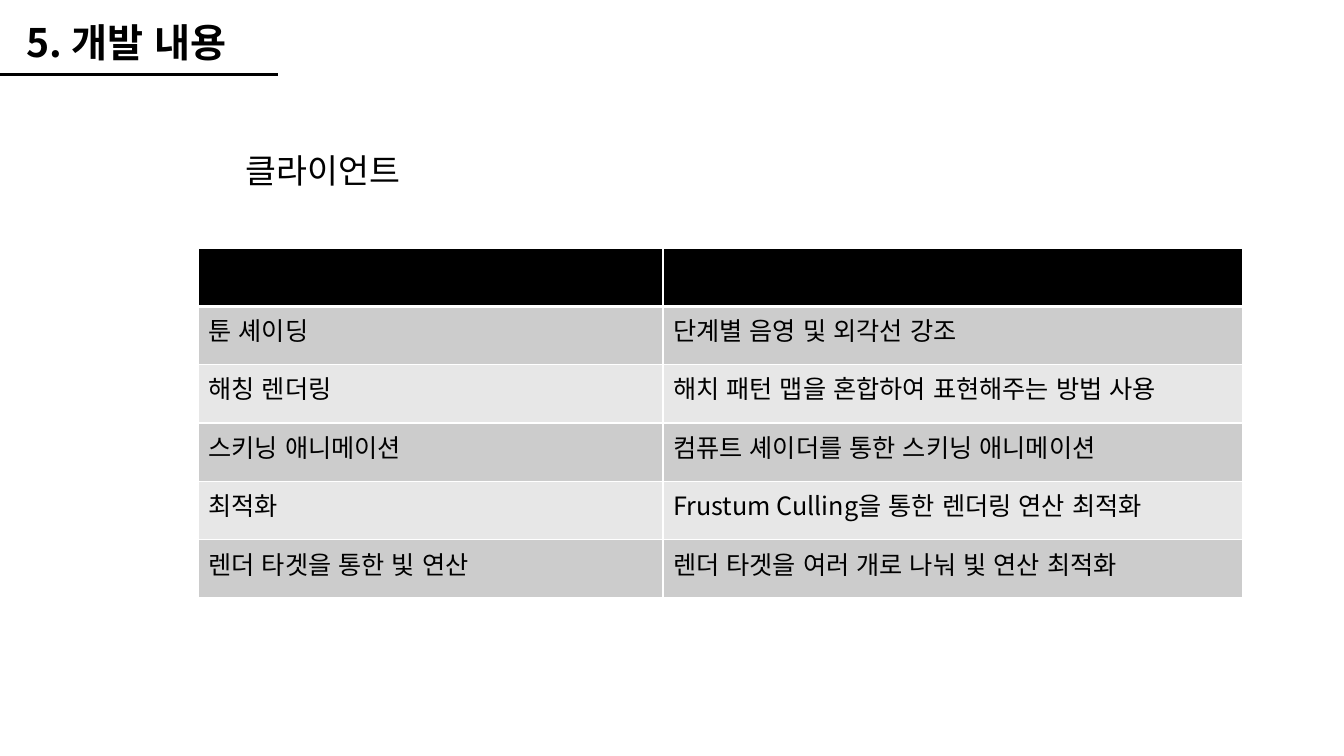
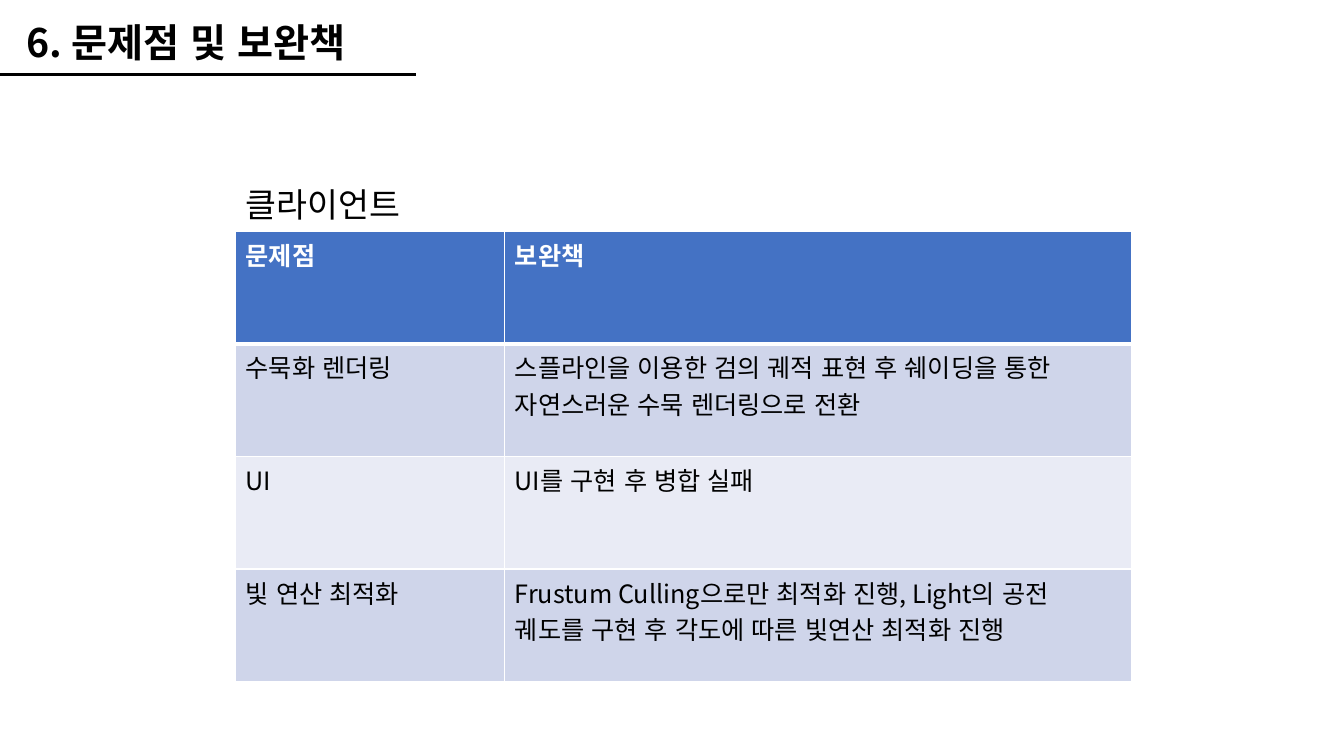
"""Build two project report slides, each with a titled table."""
from lxml import etree
from pptx import Presentation
from pptx.dml.color import RGBColor
from pptx.enum.shapes import MSO_CONNECTOR
from pptx.oxml import parse_xml
from pptx.oxml.ns import qn
from pptx.util import Cm, Pt

STRAIGHT = MSO_CONNECTOR.STRAIGHT
FONT = "Noto Sans CJK KR"
DRAWING = "http://schemas.openxmlformats.org/drawingml/2006/main"
COLORS = {
    "ink": "000000", "paper": "FFFFFF",
    "gray": "CCCCCC", "light_gray": "E7E7E7",
    "blue": "4472C4", "pale_blue": "CFD5EA", "light_blue": "E9EBF5",
}
PAGES = [
    {
        "title": "5. 개발 내용", "title_width": 6.63, "rule_end": 7.01,
        "label_top": 3.66,
        "left": 5, "top": 6.25, "columns": [11.71, 14.61], "row_height": 1.47,
        "fills": ["ink", "gray", "light_gray"],
        "rows": [
            ["", ""],
            ["툰 셰이딩", "단계별 음영 및 외각선 강조"],
            ["해칭 렌더링", "해치 패턴 맵을 혼합하여 표현해주는 방법 사용"],
            ["스키닝 애니메이션", "컴퓨트 셰이더를 통한 스키닝 애니메이션"],
            ["최적화", "Frustum Culling을 통한 렌더링 연산 최적화"],
            ["렌더 타겟을 통한 빛 연산", "렌더 타겟을 여러 개로 나눠 빛 연산 최적화"],
        ],
    },
    {
        "title": "6. 문제점 및 보완책", "title_width": 9.86, "rule_end": 10.49,
        "label_top": 4.52,
        "left": 5.94, "top": 5.82, "columns": [6.78, 15.8], "row_height": 2.84,
        "fills": ["blue", "pale_blue", "light_blue"],
        "rows": [
            ["문제점", "보완책"],
            ["수묵화 렌더링",
             "스플라인을 이용한 검의 궤적 표현 후 쉐이딩을 통한 자연스러운 수묵 렌더링으로 전환"],
            ["UI", "UI를 구현 후 병합 실패"],
            ["빛 연산 최적화",
             "Frustum Culling으로만 최적화 진행, Light의 공전 궤도를 구현 후 "
             "각도에 따른 빛연산 최적화 진행"],
        ],
    },
]


def write(frame, text, size=18, color="ink", bold=False):
    frame.word_wrap = True
    span = frame.paragraphs[0].add_run()
    span.text = text
    span.font.size = Pt(size)
    span.font.bold = bold
    span.font.name = FONT
    span.font.color.rgb = RGBColor.from_string(COLORS[color])
    properties = span.font._element
    properties.set("lang", "ko-KR")
    etree.SubElement(properties, qn("a:ea")).set("typeface", FONT)


def add_borders(cell, bottom):
    properties = cell._tc.get_or_add_tcPr()
    widths = {"lnL": 1, "lnR": 1, "lnT": 1, "lnB": bottom}
    for position, (side, width) in enumerate(widths.items()):
        properties.insert(position, parse_xml(
            f'<a:{side} xmlns:a="{DRAWING}" w="{Pt(width)}"><a:solidFill>'
            f'<a:srgbClr val="{COLORS["paper"]}"/></a:solidFill></a:{side}>'))


deck = Presentation()
deck.slide_width, deck.slide_height = Cm(33.87), Cm(19.05)

for content in PAGES:
    page = deck.slides.add_slide(deck.slide_layouts[6])

    rule = page.shapes.add_connector(
        STRAIGHT, 0, Cm(1.88), Cm(content["rule_end"]), Cm(1.88))
    rule.line.width = Pt(2.5)
    rule.line.color.rgb = RGBColor.from_string(COLORS["ink"])
    etree.SubElement(rule._element.spPr, qn("a:effectLst"))

    title = page.shapes.add_textbox(
        Cm(0.43), Cm(0.33), Cm(content["title_width"]), Cm(1.45))
    write(title.text_frame, content["title"], size=28, bold=True)

    label = page.shapes.add_textbox(
        Cm(5.94), Cm(content["label_top"]), Cm(9.25), Cm(1.28))
    write(label.text_frame, "클라이언트", size=24)

    rows, columns = content["rows"], content["columns"]
    table = page.shapes.add_table(
        len(rows), len(columns), Cm(content["left"]), Cm(content["top"]),
        Cm(sum(columns)), Cm(content["row_height"] * len(rows))).table
    for column, width in zip(table.columns, columns):
        column.width = Cm(width)
    header_fill, *bands = content["fills"]
    for row_number, texts in enumerate(rows):
        table.rows[row_number].height = Cm(content["row_height"])
        header = row_number == 0
        fill = header_fill if header else bands[(row_number - 1) % 2]
        for column_number, text in enumerate(texts):
            cell = table.cell(row_number, column_number)
            cell.fill.solid()
            cell.fill.fore_color.rgb = RGBColor.from_string(COLORS[fill])
            add_borders(cell, bottom=3 if header else 1)
            if text:
                write(cell.text_frame, text, bold=header,
                      color="paper" if header else "ink")

deck.save("out.pptx")
